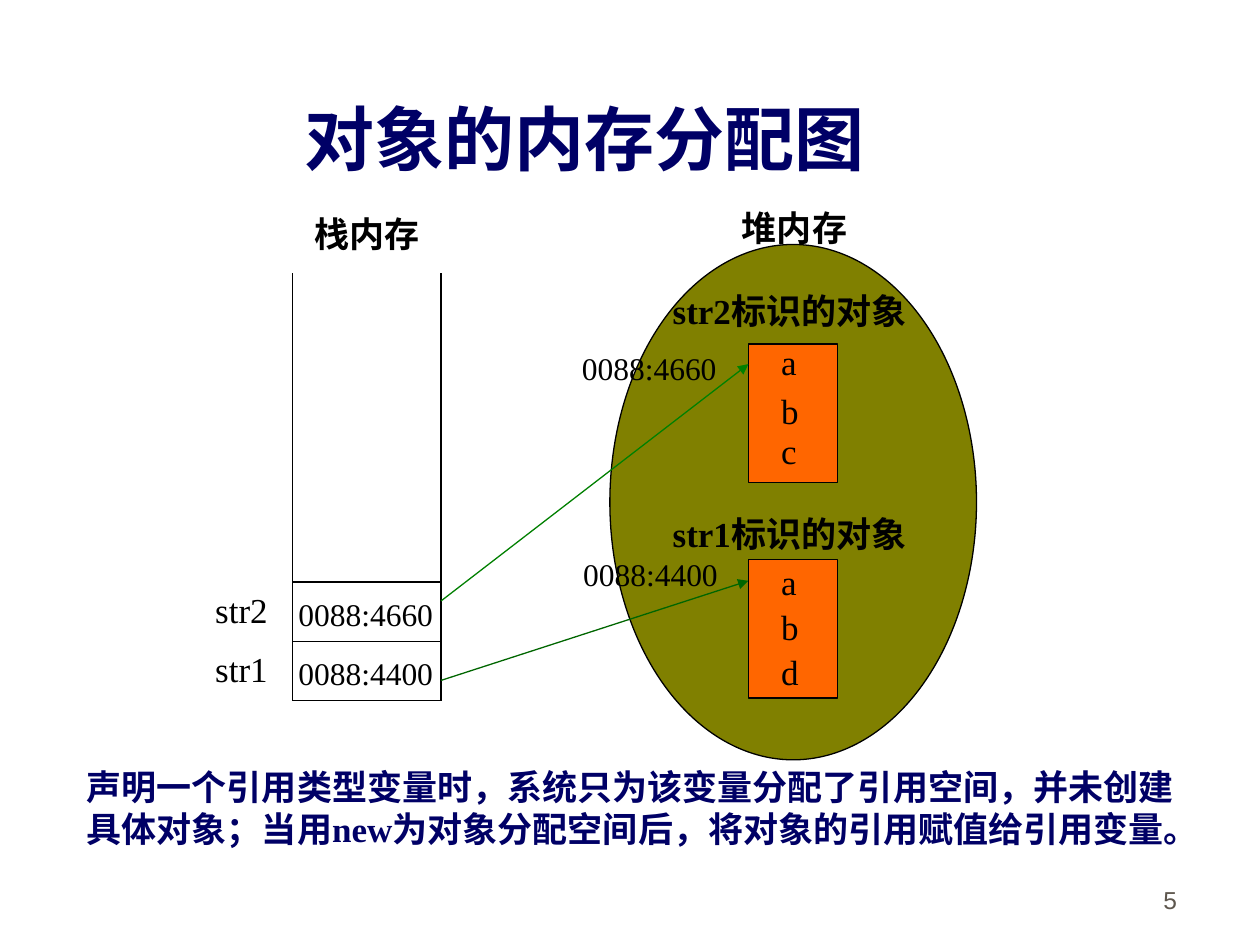
"""Build a slide on how references on the stack point to objects on the heap."""
from dataclasses import dataclass

from lxml.etree import SubElement
from pptx import Presentation
from pptx.dml.color import RGBColor
from pptx.enum.shapes import MSO_CONNECTOR as Connector, MSO_SHAPE as Preset
from pptx.enum.text import MSO_ANCHOR as Anchor, MSO_AUTO_SIZE as AutoSize, PP_ALIGN as Align
from pptx.oxml.ns import qn
from pptx.util import Inches, Pt


@dataclass(frozen=True)
class Theme:
    serif: str = "Times New Roman"
    sans: str = "Arial"
    navy: str = "000066"
    black: str = "000000"
    gray: str = "5E574E"
    olive: str = "808000"
    orange: str = "FF6600"
    dark_green: str = "006600"
    green: str = "008000"
    title: int = 40
    body: int = 20
    address: int = 18
    footer: int = 14
    line: float = 0.75


THEME = Theme()
STACK_LEFT, STACK_RIGHT = 2.32, 3.5
STACK_TOP, STACK_BOTTOM = 2.17, 5.56
CELL_HEIGHT = 0.47
OBJECT_LEFT, OBJECT_WIDTH, OBJECT_HEIGHT = 5.94, 0.71, 1.1


def write_text(shape, text, align=Align.LEFT, anchor=Anchor.TOP, wrap=True,
               fit=AutoSize.SHAPE_TO_FIT_TEXT, size=THEME.body, bold=False,
               color=THEME.black, name=THEME.serif):
    """Put one formatted paragraph into a shape."""
    frame = shape.text_frame
    frame_format = {"word_wrap": wrap, "auto_size": fit, "vertical_anchor": anchor}
    for attribute, value in frame_format.items():
        setattr(frame, attribute, value)
    paragraph = frame.paragraphs[0]
    paragraph.alignment = align
    run = paragraph.add_run()
    run.text = text
    for attribute, value in {"name": name, "size": Pt(size), "bold": bold}.items():
        setattr(run.font, attribute, value)
    run.font.color.rgb = RGBColor.from_string(color)


def add_title(slide, text):
    """Place and format the title placeholder."""
    title = slide.shapes.title
    position = {"left": 2.32, "top": 0.71, "width": 4.7, "height": 0.77}
    for attribute, value in position.items():
        setattr(title, attribute, Inches(value))
    write_text(title, text, wrap=False, size=THEME.title, bold=True, color=THEME.navy)


def add_label(slide, text, left, top, width, height=0.44, **text_format):
    """Add a text box."""
    box = slide.shapes.add_textbox(*map(Inches, (left, top, width, height)))
    write_text(box, text, **text_format)


def add_block(slide, preset, left, top, width, height, fill):
    """Add a filled shape with a thin black outline."""
    shape = slide.shapes.add_shape(preset, *map(Inches, (left, top, width, height)))
    shape.shadow.inherit = False
    shape.fill.solid()
    shape.fill.fore_color.rgb = RGBColor.from_string(fill)
    shape.line.color.rgb = RGBColor.from_string(THEME.black)
    shape.line.width = Pt(THEME.line)


def add_line(slide, start, end, color=THEME.black, arrow=False):
    """Add a straight line, with an arrowhead at its end if asked."""
    line = slide.shapes.add_connector(Connector.STRAIGHT, *map(Inches, (*start, *end)))
    line.line.color.rgb = RGBColor.from_string(color)
    line.line.width = Pt(THEME.line)
    if arrow:
        SubElement(line.line._get_or_add_ln(), qn("a:tailEnd"), type="triangle")
    SubElement(line._element.spPr, qn("a:effectLst"))


def add_stack(slide):
    """Draw the open-topped stack and its two cells."""
    for x in (STACK_LEFT, STACK_RIGHT):
        add_line(slide, (x, STACK_TOP), (x, STACK_BOTTOM))
    for row in range(3):
        y = STACK_BOTTOM - row * CELL_HEIGHT
        add_line(slide, (STACK_LEFT, y), (STACK_RIGHT, y))


def add_reference(slide, name, address, cell_top, address_box):
    """Label a stack cell and the heap address that it holds."""
    add_label(slide, name, 1.61, cell_top, 0.63)
    add_label(slide, address, 2.27, cell_top + 0.05, 1.5, 0.4, size=THEME.address)
    add_label(slide, address, *address_box, 1.5, 0.4, size=THEME.address)


def add_heap_object(slide, caption, caption_top, top, letters):
    """Draw a heap object with its caption and its letters."""
    add_block(slide, Preset.RECTANGLE, OBJECT_LEFT, top, OBJECT_WIDTH, OBJECT_HEIGHT, THEME.orange)
    add_label(slide, caption, 5.24, caption_top, 2.18, bold=True)
    for letter, letter_top in letters:
        add_label(slide, letter, 6.1, letter_top, 0.39)


def main():
    """Build and save the slide."""
    presentation = Presentation()
    presentation.slide_width, presentation.slide_height = Inches(10), Inches(7.5)
    slide = presentation.slides.add_slide(presentation.slide_layouts[5])

    add_title(slide, "对象的内存分配图")
    add_stack(slide)
    add_block(slide, Preset.OVAL, 4.84, 1.94, 2.91, 4.09, THEME.olive)
    add_label(slide, "栈内存", 2.4, 1.64, 1.27, bold=True)
    add_label(slide, "堆内存", 5.79, 1.59, 1.32, bold=True)

    add_heap_object(slide, "str2标识的对象", 2.25, 2.73, (("a", 2.65), ("b", 3.04), ("c", 3.36)))
    add_heap_object(slide, "str1标识的对象", 4.02, 4.44, (("a", 4.4), ("b", 4.76), ("d", 5.11)))
    add_reference(slide, "str2", "0088:4660", 4.62, (4.52, 2.72))
    add_reference(slide, "str1", "0088:4400", 5.09, (4.53, 4.36))
    add_line(slide, (STACK_RIGHT, 5.4), (OBJECT_LEFT, 4.61), THEME.dark_green, arrow=True)
    add_line(slide, (STACK_RIGHT, 4.77), (OBJECT_LEFT, 2.89), THEME.green, arrow=True)

    add_label(slide, "声明一个引用类型变量时，系统只为该变量分配了引用空间，并未创建具体对象；"
              "当用new为对象分配空间后，将对象的引用赋值给引用变量。",
              0.59, 6.03, 8.87, 0.77, bold=True, color=THEME.navy)
    add_label(slide, "5", 7.36, 6.81, 2.08, 0.5, align=Align.RIGHT, anchor=Anchor.BOTTOM,
              fit=AutoSize.NONE, size=THEME.footer, color=THEME.gray, name=THEME.sans)
    presentation.save("out.pptx")


if __name__ == "__main__":
    main()
